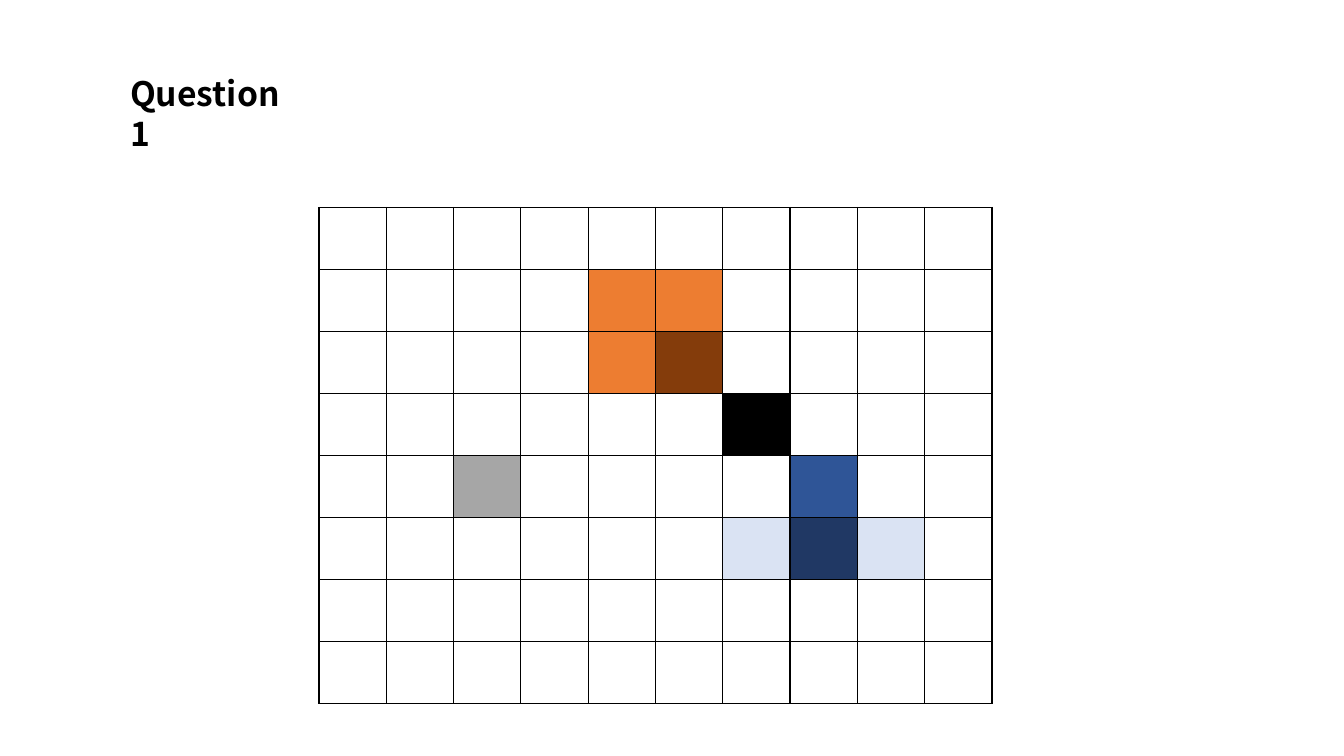
"""Build the Question 1 slide: a ten by eight grid with coloured cells."""
from lxml import etree
from pptx import Presentation
from pptx.dml.color import RGBColor
from pptx.enum import text
from pptx.oxml import ns
from pptx.util import Pt

THEME = {
    "font": "Noto Sans CJK SC",
    "title_size": Pt(24),
    "border_width": Pt(1),
    "black": "000000",
    "orange": "ED7D31",
    "brown": "843C0B",
    "grey": "A6A6A6",
    "blue": "2F5597",
    "navy": "203864",
    "pale": "DAE3F3",
}
ROWS, COLUMNS = 8, 10
COLUMN_WIDTH, ROW_HEIGHT = Pt(48.1), Pt(44.3)
COLOURED_CELLS = {
    (1, 4): "orange", (1, 5): "orange",
    (2, 4): "orange", (2, 5): "brown",
    (3, 6): "black",
    (4, 2): "grey", (4, 7): "blue",
    (5, 6): "pale", (5, 7): "navy", (5, 8): "pale",
}


def add_borders(cell):
    properties = cell._tc.get_or_add_tcPr()
    for edge in ("a:lnL", "a:lnR", "a:lnT", "a:lnB"):
        line = etree.SubElement(properties, ns.qn(edge), w=str(THEME["border_width"]))
        fill = etree.SubElement(line, ns.qn("a:solidFill"))
        etree.SubElement(fill, ns.qn("a:srgbClr"), val=THEME["black"])


deck = Presentation()
deck.slide_width, deck.slide_height = Pt(960), Pt(540)
slide = deck.slides.add_slide(deck.slide_layouts[5])

question = slide.shapes.title
question.left, question.top, question.width, question.height = Pt(85.7), Pt(48.2), Pt(134), Pt(36)
heading = question.text_frame
heading.text = "Question 1"
heading.word_wrap = True
heading.auto_size = text.MSO_AUTO_SIZE.SHAPE_TO_FIT_TEXT
heading.vertical_anchor = text.MSO_ANCHOR.TOP
paragraph = heading.paragraphs[0]
paragraph.alignment = text.PP_ALIGN.LEFT
paragraph.line_spacing = 1.0
paragraph.font.name = THEME["font"]
paragraph.font.size = THEME["title_size"]
paragraph.font.bold = True
paragraph.font.color.rgb = RGBColor.from_string(THEME["black"])

grid = slide.shapes.add_table(
    ROWS, COLUMNS, Pt(227.8), Pt(148.2), COLUMN_WIDTH * COLUMNS, ROW_HEIGHT * ROWS
).table
grid.first_row = grid.horz_banding = False
for column in grid.columns:
    column.width = COLUMN_WIDTH
for row_index, row in enumerate(grid.rows):
    row.height = ROW_HEIGHT
    for column_index, cell in enumerate(row.cells):
        add_borders(cell)
        colour = COLOURED_CELLS.get((row_index, column_index))
        if colour:
            cell.fill.solid()
            cell.fill.fore_color.rgb = RGBColor.from_string(THEME[colour])
        else:
            cell.fill.background()

deck.save("out.pptx")
